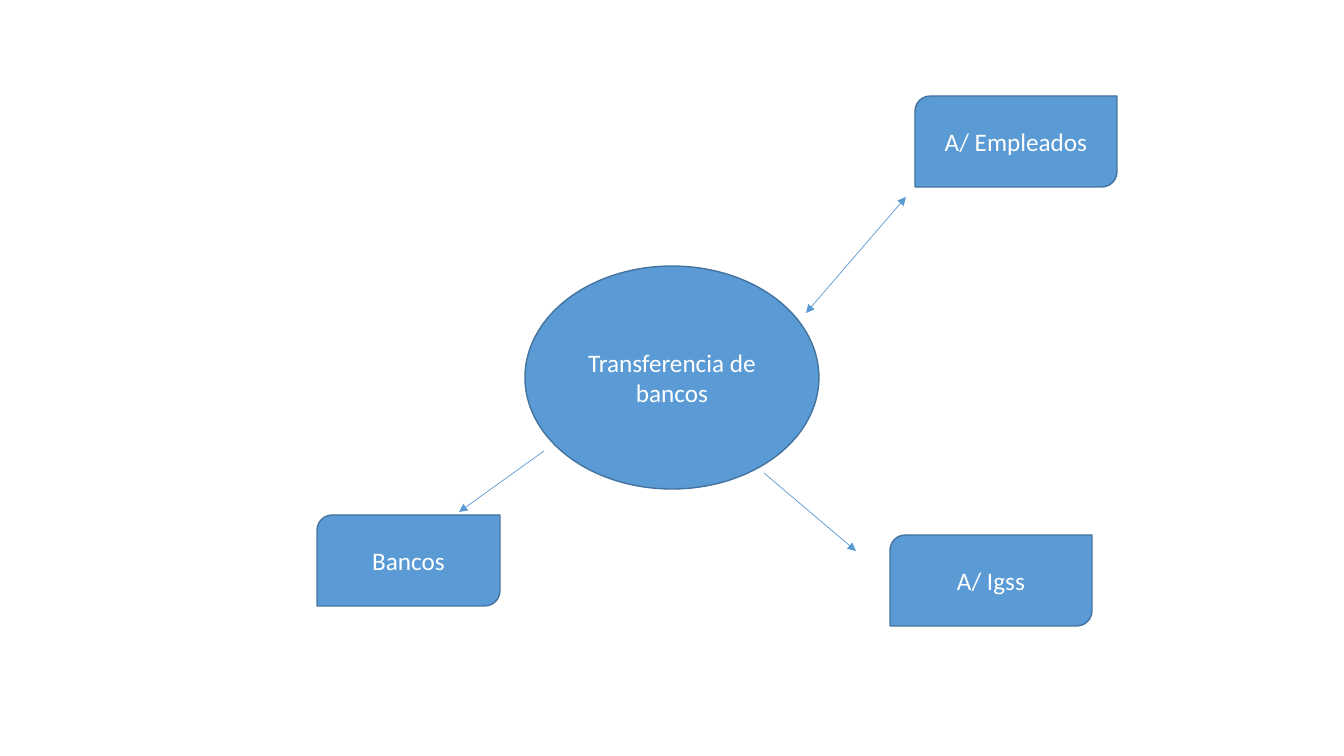
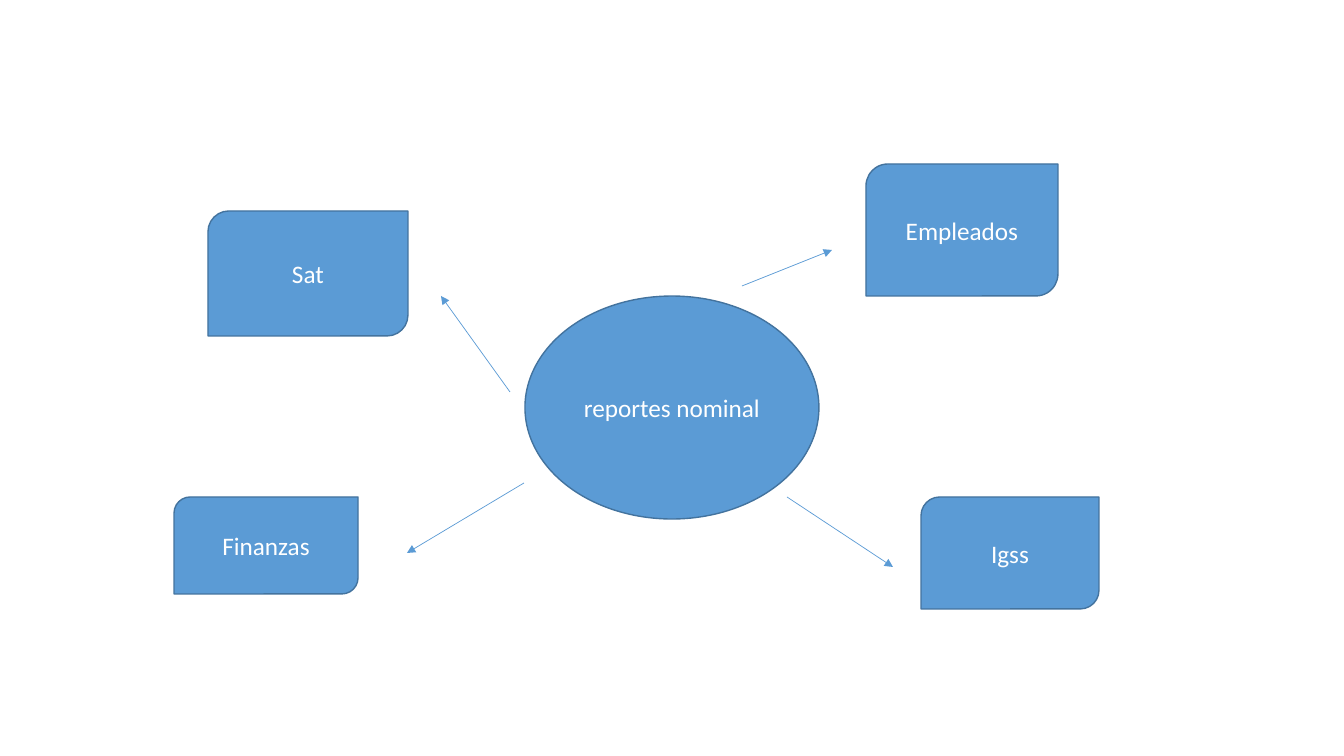
from lxml import etree
from pptx import Presentation
from pptx import util as u
from pptx.dml.color import RGBColor
from pptx.enum import shapes, text
from pptx.oxml import ns

SCALE = 914400 / 100.8
BLUE = RGBColor(0x5B, 0x9B, 0xD5)
EDGE = RGBColor(0x43, 0x73, 0x9E)
WHITE = RGBColor(0xFF, 0xFF, 0xFF)
FONT = "Calibri"
OVAL = shapes.MSO_SHAPE.OVAL
CARD = shapes.MSO_SHAPE.ROUND_2_DIAG_RECTANGLE
HUB_LEFT, HUB_WIDE, HUB_HIGH = 525, 294, 223

# Each map: hub label, hub top, cards (label, box), arrows (start, end, both ways)
MAPS = [
    ("Transferencia de bancos", 266,
     [("A/ Empleados", (915, 96, 202, 91)),
      ("A/ Igss", (890, 535, 202, 91)),
      ("Bancos", (317, 515, 183, 91))],
     [((906, 197), (806, 313), True),
      ((764, 473), (856, 551), False),
      ((544, 451), (459, 512), False)]),
    ("reportes nominal", 296,
     [("Sat", (208, 211, 200, 125)),
      ("Igss", (921, 497, 178, 112)),
      ("Empleados", (866, 164, 192, 132)),
      ("Finanzas", (174, 497, 184, 97))],
     [((742, 286), (832, 250), False),
      ((787, 497), (893, 567), False),
      ((510, 392), (441, 296), False),
      ((524, 483), (407, 553), False)]),
]


def px(*sizes):
    """Turn pixel lengths into EMU."""
    return [u.Emu(round(size * SCALE)) for size in sizes]


def write(frame, words, size=18, color=WHITE, align=text.PP_ALIGN.CENTER):
    """Put formatted words in a text frame, centred in height."""
    frame.word_wrap = True
    frame.vertical_anchor = text.MSO_ANCHOR.MIDDLE
    para = frame.paragraphs[0]
    para.alignment = align
    run = para.add_run()
    run.text = words
    run.font.name = FONT
    run.font.size = u.Pt(size)
    run.font.color.rgb = color


def add_node(slide, kind, words, box):
    """Add a filled, labelled shape."""
    node = slide.shapes.add_shape(kind, *px(*box))
    node.shadow.inherit = False
    node.fill.solid()
    node.fill.fore_color.rgb = BLUE
    node.line.color.rgb = EDGE
    node.line.width = u.Pt(1)
    write(node.text_frame, words)


def add_arrow(slide, start, end, both):
    """Add a thin arrow, with heads at one or both ends."""
    line = slide.shapes.add_connector(
        shapes.MSO_CONNECTOR.STRAIGHT, *px(*start, *end))
    line.line.color.rgb = BLUE
    line.line.width = u.Pt(0.5)
    ends = ["a:headEnd", "a:tailEnd"] if both else ["a:tailEnd"]
    outline = line.line._get_or_add_ln()
    for tag in ends:
        etree.SubElement(outline, ns.qn(tag), type="triangle")
    etree.SubElement(line._element.spPr, ns.qn("a:effectLst"))


def add_map(deck, hub, top, cards, arrows):
    """Add a slide with a hub, its cards and its arrows."""
    slide = deck.slides.add_slide(deck.slide_layouts[6])
    add_node(slide, OVAL, hub, (HUB_LEFT, top, HUB_WIDE, HUB_HIGH))
    for words, box in cards:
        add_node(slide, CARD, words, box)
    for start, end, both in arrows:
        add_arrow(slide, start, end, both)


def main():
    """Build and save the deck."""
    deck = Presentation()
    deck.slide_width, deck.slide_height = px(1344, 756)
    for item in MAPS:
        add_map(deck, *item)
    deck.save("out.pptx")


main()
